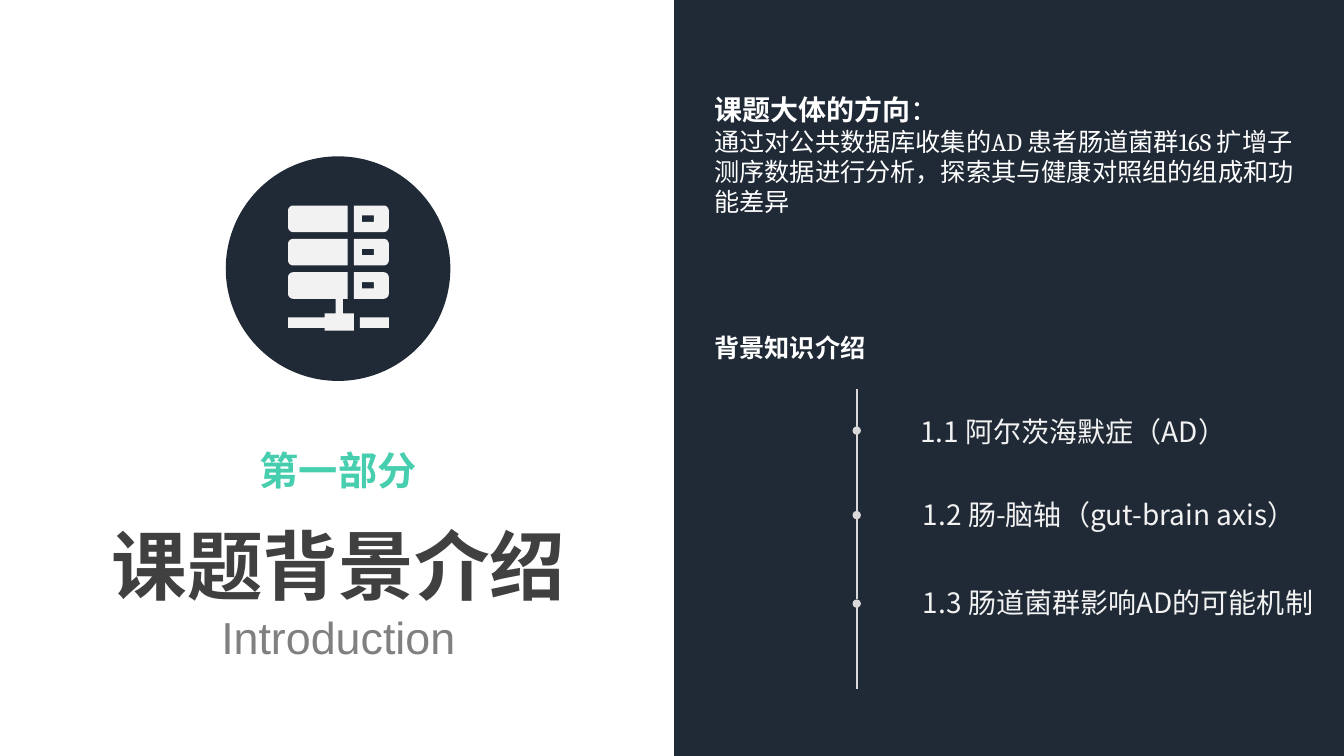
import math
from dataclasses import dataclass

from lxml import etree
from pptx import Presentation
from pptx.dml.color import RGBColor
from pptx.enum import shapes, text
from pptx.oxml import ns
from pptx.util import Cm, Pt


@dataclass(frozen=True)
class Theme:
    navy: str = "202A36"
    teal: str = "46CEAE"
    dark: str = "404040"
    gray: str = "808080"
    rule: str = "D9D9D9"
    pale: str = "F2F2F2"
    white: str = "FFFFFF"
    title: int = 54
    subtitle: int = 32
    section: int = 28
    item: int = 20
    body: int = 18
    cjk: str = "Noto Sans CJK SC"
    latin: str = "Arial"
    sans: str = "Calibri"
    serif: str = "Cambria"


T = Theme()


def style(size, color, name=T.cjk, bold=False):
    return {"size": Pt(size), "name": name, "bold": bold, "color": color}


def add_run(p, words, fmt):
    r = p.add_run()
    r.text = words
    for key, value in fmt.items():
        if key == "color":
            r.font.color.rgb = RGBColor.from_string(value)
        else:
            setattr(r.font, key, value)
    ea = etree.SubElement(r.font._element, ns.qn("a:ea"))
    ea.set("typeface", fmt["name"])


def add_text(s, box, paragraphs, align=text.PP_ALIGN.LEFT):
    """Each paragraph is a list of (words, style) runs."""
    tf = s.shapes.add_textbox(*map(Cm, box)).text_frame
    tf.word_wrap = True
    tf.auto_size = text.MSO_AUTO_SIZE.SHAPE_TO_FIT_TEXT
    for i, runs in enumerate(paragraphs):
        p = tf.add_paragraph() if i else tf.paragraphs[0]
        p.alignment = align
        for words, fmt in runs:
            add_run(p, words, fmt)


def paint(sp, color):
    sp.shadow.inherit = False
    sp.fill.solid()
    sp.fill.fore_color.rgb = RGBColor.from_string(color)
    sp.line.fill.background()


def add_block(parent, kind, box, color):
    paint(parent.shapes.add_shape(kind, *map(Cm, box)), color)


def rect(left, top, right, bottom):
    return [(left, top), (right, top), (right, bottom), (left, bottom)]


def rounded_end(inner, outer, top, height, radius=0.13, steps=6):
    """Outline of a block whose two corners at x = outer are rounded."""
    side = 1 if outer > inner else -1
    cx = outer - side * radius
    angles = [math.pi / 2 * i / steps for i in range(steps + 1)]
    upper = [(cx + side * radius * math.sin(a),
              top + radius * (1 - math.cos(a))) for a in angles]
    lower = [(x, 2 * top + height - y) for x, y in reversed(upper)]
    return [(inner, top), *upper, *lower, (inner, top + height)]


def server_outlines():
    left, split_left, split_right, right = 7.26, 8.76, 8.92, 9.8
    outlines = []
    for row in range(3):
        top = 5.18 + 0.84 * row
        outlines += [rounded_end(split_left, left, top, 0.67),
                     rounded_end(split_right, right, top, 0.67),
                     rect(9.12, top + 0.25, 9.42, top + 0.41)]
    plug = [(8.46, 7.53), (8.64, 7.53), (8.64, 7.9), (8.92, 7.9),
            (8.92, 8.33), (8.18, 8.33), (8.18, 8.26), (left, 8.26),
            (left, 8.0), (8.18, 8.0), (8.18, 7.9), (8.46, 7.9)]
    return outlines + [plug, rect(9.07, 8.0, right, 8.26)]


def add_server_icon(s):
    group = s.shapes.add_group_shape()
    add_block(group, shapes.MSO_SHAPE.OVAL, (5.69, 3.94, 5.66, 5.66), T.navy)
    outlines = [[(Cm(x), Cm(y)) for x, y in o] for o in server_outlines()]
    builder = group.shapes.build_freeform(*outlines[0][0])
    for i, (start, *rest) in enumerate(outlines):
        if i:
            builder.move_to(*start)
        builder.add_line_segments(rest, close=True)
    paint(builder.convert_to_shape(), T.pale)


def add_timeline_segment(s, x, start, end, dot):
    c = s.shapes.add_connector(shapes.MSO_CONNECTOR.STRAIGHT,
                               Cm(x), Cm(start), Cm(x), Cm(end))
    c.line.color.rgb = RGBColor.from_string(T.rule)
    c.line.width = Pt(1.5)
    spPr = c._element.spPr
    if dot:
        tail = etree.SubElement(spPr.find(ns.qn("a:ln")), ns.qn("a:tailEnd"))
        tail.set("type", "oval")
    etree.SubElement(spPr, ns.qn("a:effectLst"))


def main():
    prs = Presentation()
    prs.slide_width, prs.slide_height = Cm(33.87), Cm(19.05)
    s = prs.slides.add_slide(prs.slide_layouts[6])
    center = text.PP_ALIGN.CENTER

    add_text(s, (2.51, 12.95, 12.04, 3.94), [
        [("课题背景介绍", style(T.title, T.dark, bold=True))],
        [("Introduction", style(T.subtitle, T.gray, T.latin))],
    ], center)
    add_text(s, (6.27, 11.13, 4.5, 1.45),
             [[("第一部分", style(T.section, T.teal, bold=True))]], center)
    add_server_icon(s)

    add_block(s, shapes.MSO_SHAPE.RECTANGLE, (16.99, 0, 16.88, 19.05), T.navy)
    sans = style(T.body, T.white, T.sans)
    serif = style(T.body, T.white, T.serif)
    add_text(s, (17.75, 2.21, 15.19, 3.43), [
        [("课题大体的方向", style(T.item, T.white, bold=True)),
         ("：", style(T.item, T.white))],
        [("通过对公共数据库收集的", sans), ("AD ", serif),
         ("患者肠道菌群", sans), ("16S ", serif),
         ("扩增子测序数据进行分析，探索其与健康对照组的组成和功能差异", sans)],
    ])
    add_text(s, (17.75, 8.26, 4.37, 1.02),
             [[("背景知识介绍", style(T.body, T.white, bold=True))]])

    for start, end, dot in [(15.09, 12.98, True), (12.98, 10.85, True),
                            (10.85, 9.8, False), (17.35, 15.21, True)]:
        add_timeline_segment(s, 21.59, start, end, dot)
    for left, top, width, words in [
            (22.94, 10.31, 8.48, "1.1 阿尔茨海默症（AD）"),
            (23.01, 12.42, 10.26, "1.2 肠-脑轴（gut-brain axis）"),
            (23.01, 14.63, 10.62, "1.3 肠道菌群影响AD的可能机制")]:
        add_text(s, (left, top, width, 1.12),
                 [[(words, style(T.item, T.pale))]])

    prs.save("out.pptx")


if __name__ == "__main__":
    main()
